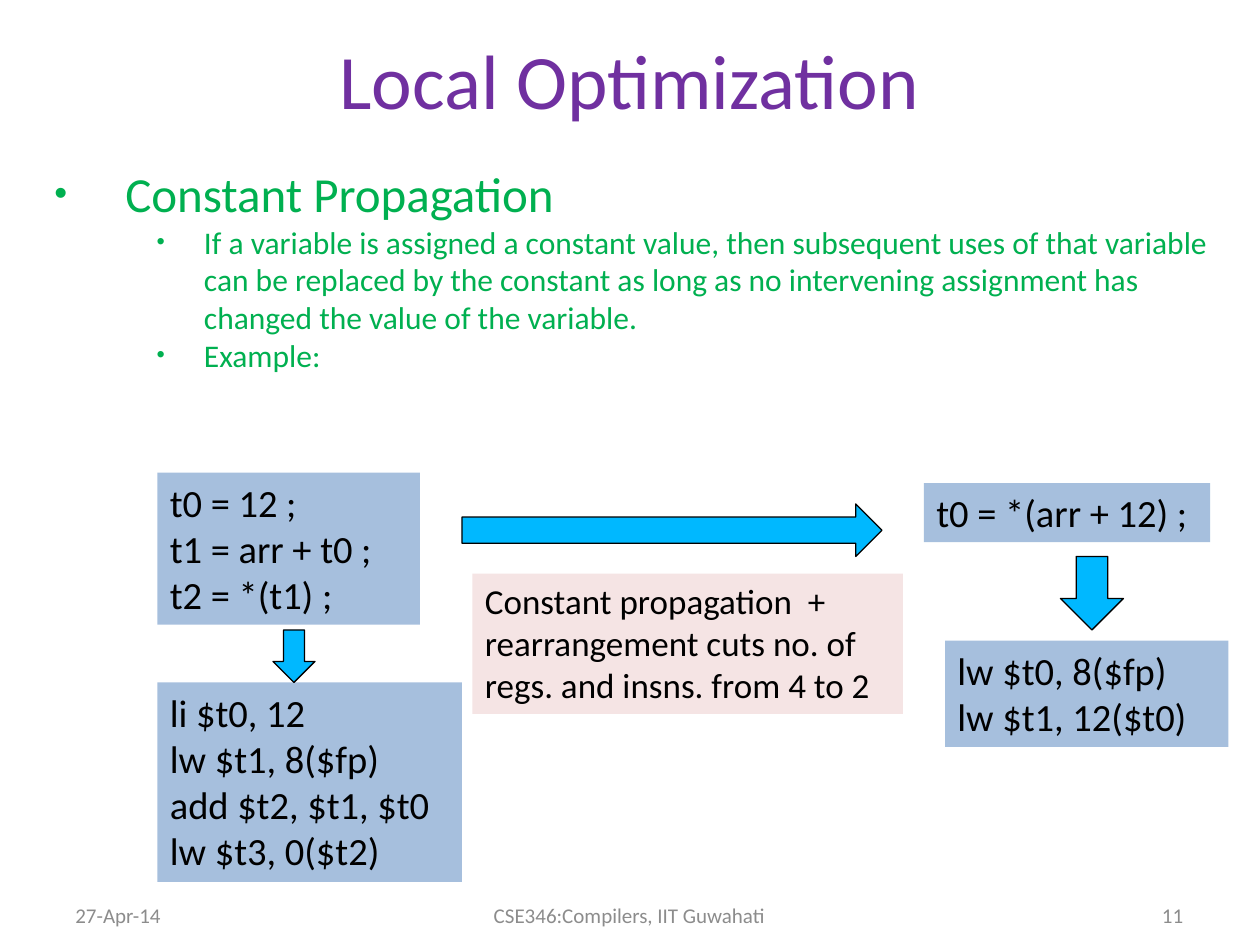
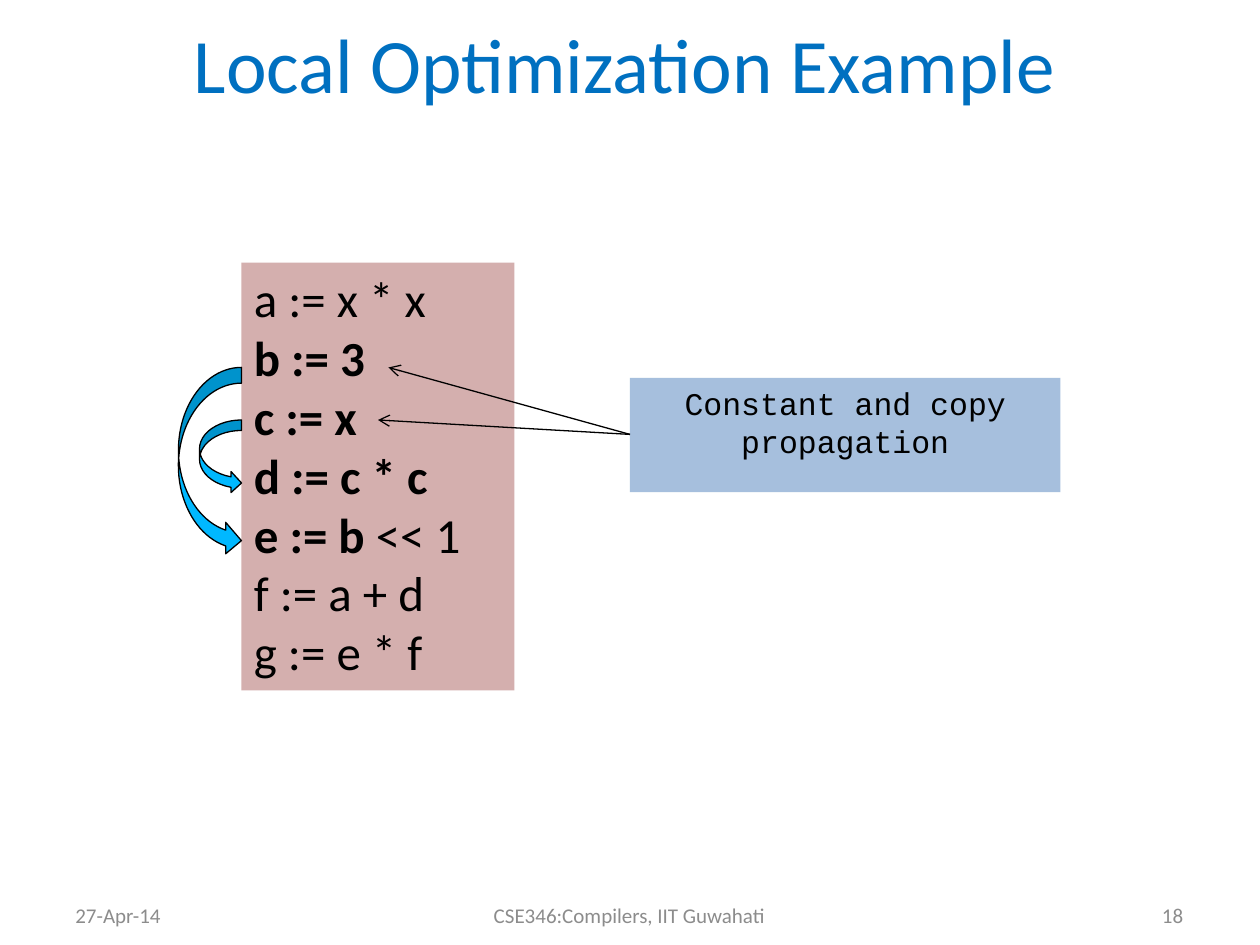
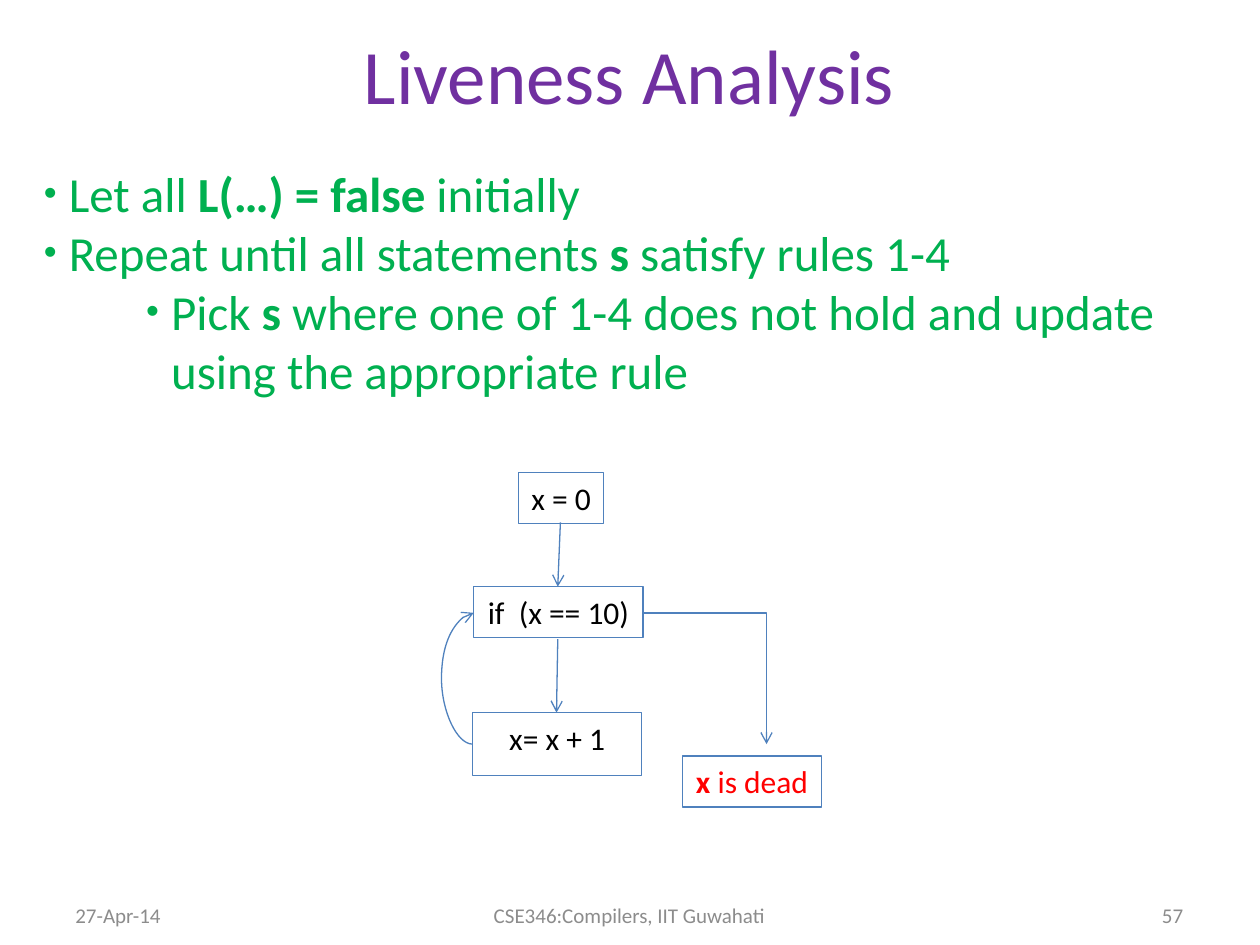
from pptx import Presentation
from pptx.dml.color import RGBColor
from pptx.enum.shapes import MSO_CONNECTOR as Link, MSO_SHAPE as Shape
from pptx.enum.text import MSO_ANCHOR as Anchor, MSO_AUTO_SIZE as AutoSize, PP_ALIGN as Align
from pptx.oxml.ns import qn
from pptx.oxml.xmlchemy import OxmlElement
from pptx.util import Pt

PX = 9525
PURPLE, BLUE, GREEN, RED = "7030A0", "0070C0", "00B050", "FF0000"
BLACK, WHITE, GRAY = "000000", "FFFFFF", "8C8C8C"
STEEL, CYAN, PINK, MAROON = "4F81BD", "00B8FF", "D99694", "953735"
FRAME = {"auto_size": AutoSize.NONE, "vertical_anchor": Anchor.TOP, "word_wrap": True}
FOOTERS = [
    (48, 223, Align.LEFT, "27-Apr-14"),
    (688, 223, Align.RIGHT, "{number}"),
    (328, 303, Align.CENTER, "CSE346:Compilers, IIT Guwahati"),
]


def rgb(value):
    return RGBColor.from_string(value)


def add_child(parent, tag, **attributes):
    child = OxmlElement(tag)
    for name, value in attributes.items():
        child.set(name, str(value))
    parent.append(child)
    return child


class Deck:
    """Hold the lecture style and the slide being filled."""

    def __init__(self):
        self.presentation = Presentation()
        self.presentation.slide_width = 960 * PX
        self.presentation.slide_height = 720 * PX
        self.slide = None

    def new_slide(self, title, box, color, number):
        self.slide = self.presentation.slides.add_slide(self.presentation.slide_layouts[6])
        middle = {"vertical_anchor": Anchor.MIDDLE}
        self.text(box, [title], 44, color, align=Align.CENTER, frame=middle)
        for left, width, align, text in FOOTERS:
            self.text((left, 681, width, 32), [text.format(number=number)], 12, GRAY,
                      align=align, frame=middle)

    def fill_text(self, shape, lines, size, color, font="Calibri", align=Align.LEFT, frame=None):
        text_frame = shape.text_frame
        for name, value in (FRAME | (frame or {})).items():
            setattr(text_frame, name, value)
        for index, line in enumerate(lines):
            paragraph = text_frame.add_paragraph() if index else text_frame.paragraphs[0]
            paragraph.alignment = align
            for part, text in enumerate(line.split("**")):
                if text:
                    run = paragraph.add_run()
                    run.text = text
                    values = {"name": font, "size": Pt(size), "bold": part % 2 == 1}
                    for name, value in values.items():
                        setattr(run.font, name, value)
                    run.font.color.rgb = rgb(color)
        return shape

    def text(self, box, lines, size, color, **style):
        shape = self.slide.shapes.add_textbox(*(length * PX for length in box))
        return self.fill_text(shape, lines, size, color, **style)

    def bullets(self, box, items):
        shape = self.text(box, [item[0] for item in items], 28, GREEN)
        for paragraph, (_, level, size, left, hanging) in zip(shape.text_frame.paragraphs, items):
            paragraph.level = level
            for run in paragraph.runs:
                run.font.size = Pt(size)
            properties = paragraph._p.get_or_add_pPr()
            properties.set("marL", str(left * PX))
            properties.set("indent", str(-hanging * PX))
            add_child(add_child(properties, "a:buClr"), "a:srgbClr", val=GREEN)
            add_child(properties, "a:buSzPct", val=75000)
            add_child(properties, "a:buFont", typeface="Arial")
            add_child(properties, "a:buChar", char="•")

    def shape(self, kind, box, fill=None, line=None, opacity=100):
        shape = self.slide.shapes.add_shape(kind, *(length * PX for length in box))
        shape.shadow.inherit = False
        if fill:
            shape.fill.solid()
            shape.fill.fore_color.rgb = rgb(fill)
            if opacity < 100:
                color = shape._element.spPr.find(qn("a:solidFill"))[0]
                add_child(color, "a:alpha", val=opacity * 1000)
        else:
            shape.fill.background()
        if line:
            shape.line.color.rgb = rgb(line)
            shape.line.width = Pt(0.75)
        else:
            shape.line.fill.background()
        return shape

    def code(self, box, lines, size=22, fill=STEEL, opacity=50, **style):
        shape = self.shape(Shape.RECTANGLE, box, fill, opacity=opacity)
        self.fill_text(shape, lines, size, BLACK, **style)

    def block_arrow(self, kind, box):
        self.shape(kind, box, CYAN, BLACK)

    def flow_box(self, box, text, fill=WHITE, color=BLACK):
        shape = self.shape(Shape.RECTANGLE, box, fill, STEEL)
        self.fill_text(shape, [text], 18, color, align=Align.CENTER, frame={"word_wrap": False})

    def arrow(self, start, end, color=STEEL, kind=Link.STRAIGHT, preset=None, bend=None):
        ends = (length * PX for length in start + end)
        connector = self.slide.shapes.add_connector(kind, *ends)
        connector.line.color.rgb = rgb(color)
        connector.line.width = Pt(0.75)
        properties = connector._element.spPr
        add_child(properties.find(qn("a:ln")), "a:tailEnd", type="arrow")
        add_child(properties, "a:effectLst")
        geometry = properties.find(qn("a:prstGeom"))
        if preset:
            geometry.set("prst", preset)
        if bend:
            guides = geometry.find(qn("a:avLst"))
            if guides is None:
                guides = add_child(geometry, "a:avLst")
            add_child(guides, "a:gd", name="adj1", fmla=f"val {bend * 100000}")


def constant_propagation(deck):
    deck.new_slide("Local Optimization", (48, 0, 863, 120), PURPLE, 11)
    deck.bullets((32, 120, 904, 544), [
        ("Constant Propagation", 0, 28, 54, 54),
        ("If a variable is assigned a constant value, then subsequent uses of that variable "
         "can be replaced by the constant as long as no intervening assignment has changed "
         "the value of the variable.", 1, 18, 114, 36),
        ("Example:", 1, 18, 114, 36),
    ])
    deck.code((120, 360, 200, 116), ["t0 = 12 ;", "t1 = arr + t0 ;", "t2 = *(t1) ;"])
    deck.code((120, 520, 232, 152),
              ["li $t0, 12", "lw $t1, 8($fp)", "add $t2, $t1, $t0", "lw $t3, 0($t2)"])
    deck.code((704, 368, 218, 45), ["t0 = *(arr + 12) ;"], frame={"word_wrap": False})
    deck.code((720, 488, 216, 81), ["lw $t0, 8($fp)", "lw $t1, 12($t0)"])
    deck.block_arrow(Shape.DOWN_ARROW, (208, 480, 32, 40))
    deck.block_arrow(Shape.RIGHT_ARROW, (352, 384, 320, 40))
    deck.block_arrow(Shape.DOWN_ARROW, (808, 424, 48, 56))
    deck.code((360, 437, 328, 107),
              ["Constant propagation  +  rearrangement cuts no. of regs. and insns. from 4 to 2"],
              size=20, fill=PINK, opacity=25)


def optimization_example(deck):
    deck.new_slide("Local Optimization Example", (24, 0, 904, 96), BLUE, 18)
    deck.code((480, 288, 328, 87), ["Constant and copy propagation"], size=18,
              font="Courier New", align=Align.CENTER)
    deck.code((184, 200, 208, 326),
              ["a := x * x", "**b := 3**", "**c := x**", "**d := c * c**",
               "**e := b **<< 1", "f := a + d", "g := e * f"],
              size=28, fill=MAROON, opacity=40)
    for target in ((296, 280), (288, 320)):
        deck.arrow((480, 331), target, BLACK)
    for box in ((136, 280, 48, 144), (152, 320, 32, 56)):
        deck.block_arrow(Shape.CURVED_RIGHT_ARROW, box)


def liveness_analysis(deck):
    deck.new_slide("Liveness Analysis", (48, 8, 863, 96), PURPLE, 57)
    deck.bullets((24, 120, 912, 191), [
        ("Let all **L(…) = false **initially", 0, 28, 19, 19),
        ("Repeat until all statements **s** satisfy rules 1-4", 0, 28, 19, 19),
        ("Pick **s** where one of 1-4 does not hold and update using the appropriate rule",
         1, 28, 97, 19),
    ])
    deck.flow_box((395, 360, 65, 39), "x = 0")
    deck.flow_box((361, 447, 129, 39), "if  (x == 10)")
    deck.flow_box((360, 543, 129, 48), "x= x + 1")
    deck.arrow((427, 398), (425, 447))
    deck.arrow((425, 487), (424, 543))
    deck.arrow((360, 567), (361, 467), kind=Link.CURVE, bend=-24)
    deck.arrow((490, 467), (584, 567), kind=Link.ELBOW, preset="bentConnector2")
    deck.flow_box((520, 576, 106, 39), "**x** is dead", fill=None, color=RED)


def main():
    deck = Deck()
    for build in (constant_propagation, optimization_example, liveness_analysis):
        build(deck)
    deck.presentation.save("out.pptx")


if __name__ == "__main__":
    main()
